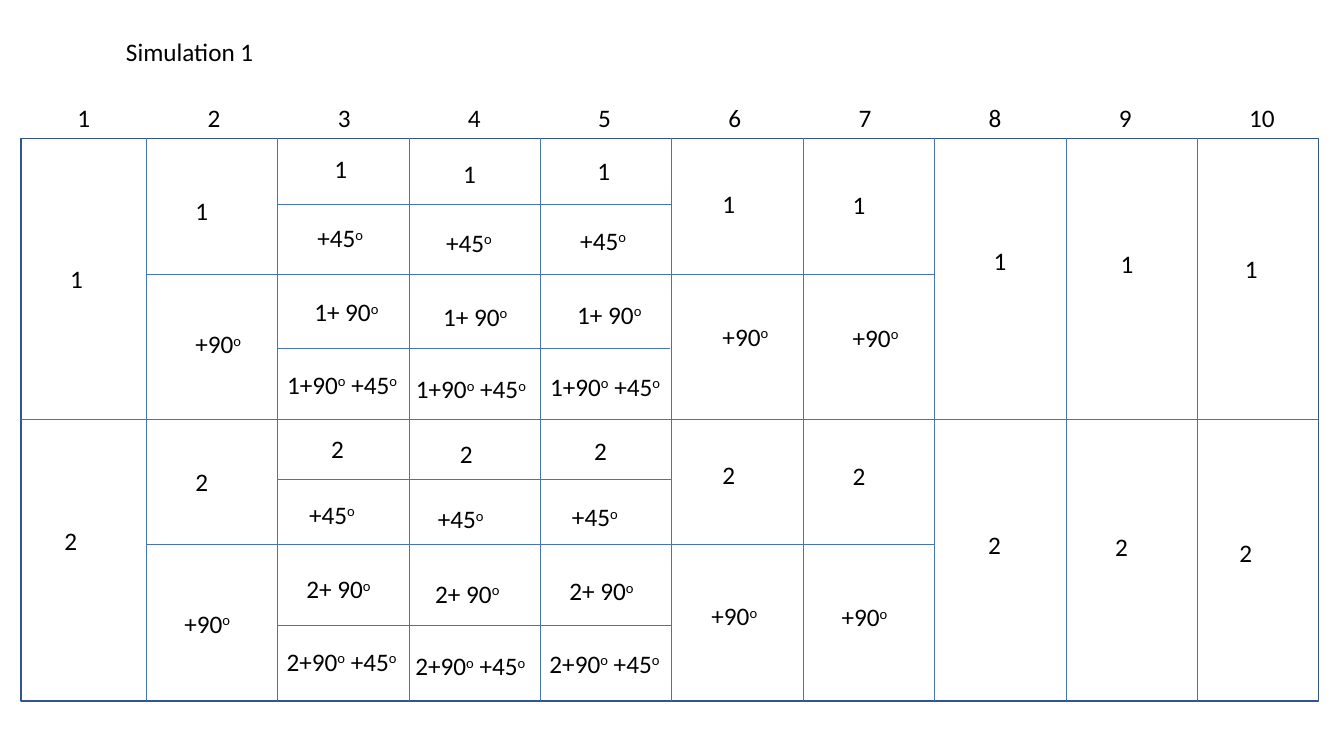
from lxml.etree import SubElement
from pptx import Presentation
from pptx.dml.color import RGBColor
from pptx.enum.shapes import MSO_CONNECTOR, MSO_SHAPE
from pptx.enum.text import MSO_ANCHOR, MSO_AUTO_SIZE, PP_ALIGN
from pptx.oxml.ns import qn
from pptx.util import Pt


def color(hex_code):
    return RGBColor.from_string(hex_code)


class SlideBuilder:
    FONT, SIZE, INK = "Calibri", 18, "000000"
    FRAME, RULE = "325491", "4472C4"
    HEIGHT = 29
    # Box width for each length of visible text
    WIDTHS = {1: 23.8, 2: 33.1, 4: 52.6, 6: 66.2, 10: 100.1}

    def __init__(self, slide):
        self.slide = slide

    def fill_text(self, box, text):
        """Fill a box; parts between ^ marks are superscript."""
        frame = box.text_frame
        frame.word_wrap = False
        frame.auto_size = MSO_AUTO_SIZE.SHAPE_TO_FIT_TEXT
        frame.vertical_anchor = MSO_ANCHOR.TOP
        paragraph = frame.paragraphs[0]
        paragraph.alignment = PP_ALIGN.LEFT
        paragraph.line_spacing = 1.0
        paragraph.space_before = Pt(0)
        for index, part in enumerate(text.split("^")):
            if not part:
                continue
            run = paragraph.add_run()
            run.text = part
            run.font.name = self.FONT
            run.font.size = Pt(self.SIZE)
            run.font.color.rgb = color(self.INK)
            if index % 2:
                run._r.get_or_add_rPr().set("baseline", "30000")

    def title(self, text, x, y, width):
        heading = self.slide.shapes.title
        heading.left, heading.top = Pt(x), Pt(y)
        heading.width, heading.height = Pt(width), Pt(self.HEIGHT)
        self.fill_text(heading, text)

    def label(self, text, x, y):
        width = self.WIDTHS[len(text.replace("^", "").strip())]
        box = self.slide.shapes.add_textbox(Pt(x), Pt(y), Pt(width), Pt(self.HEIGHT))
        self.fill_text(box, text)

    def frame(self, x1, y1, x2, y2):
        border = self.slide.shapes.add_shape(
            MSO_SHAPE.RECTANGLE, Pt(x1), Pt(y1), Pt(x2 - x1), Pt(y2 - y1))
        border.shadow.inherit = False
        border.fill.background()
        border.line.color.rgb = color(self.FRAME)
        border.line.width = Pt(1)

    def rule(self, x1, y1, x2, y2):
        line = self.slide.shapes.add_connector(
            MSO_CONNECTOR.STRAIGHT, Pt(x1), Pt(y1), Pt(x2), Pt(y2))
        line.line.color.rgb = color(self.RULE)
        line.line.width = Pt(0.5)
        SubElement(line._element.spPr, qn("a:effectLst"))


presentation = Presentation()
presentation.slide_width, presentation.slide_height = Pt(960), Pt(540)
builder = SlideBuilder(presentation.slides.add_slide(presentation.slide_layouts[5]))
builder.title("Simulation 1", 82.8, 22.3, 106.6)

# Grid: outer frame, column dividers, then row dividers
LEFT, TOP, RIGHT, BOTTOM = 15.1, 98.8, 941.8, 500.8
dividers = [104.4 + 93.87 * i for i in range(9)]
builder.frame(LEFT, TOP, RIGHT, BOTTOM)
for x in dividers:
    builder.rule(x, TOP, x, BOTTOM)
row_dividers = [
    (LEFT, RIGHT, [299.5]),
    (dividers[0], dividers[6], [195.8, 388.8]),
    (dividers[1], dividers[4], [146.2, 342.7, 446.4]),
    (dividers[1], 478.8, [249.1]),
]
for start, end, heights in row_dividers:
    for y in heights:
        builder.rule(start, y, end, y)

# Column numbers
for i in range(10):
    builder.label(str(i + 1), 48.2 + 93 * i, 69.8)

# Columns split in two: 1, 8, 9, 10
for x, y, drop in [(43, 184.3, 187.2), (702.7, 171.4, 203),
                   (793.4, 173.5, 202.5), (882.2, 177.1, 203)]:
    builder.label("1", x, y)
    builder.label("2", x - 4, y + drop)

# Columns split in four: 2, 6, 7
quarters = [("1", 132.5, 136.1), ("+90^o ^", 132.5, 231),
            ("2", 132.5, 329.8), ("+90^o ^", 124.6, 430.6)]
# Columns split in eight: 3, 4, 5
eighths = [("1", 231.8, 105.9), ("+45^o ^", 219.6, 155.4),
           ("1+ 90^o ^", 217.4, 208.2), ("1+90^o^ +45^o ^", 198, 260),
           ("2", 229.5, 306), ("+45^o ^", 213.7, 352.9),
           ("2+ 90^o ^", 211.8, 406), ("2+90^o^ +45^o ^", 197.6, 457.8)]
for cells, shifts in [(quarters, [(0, 0), (376.5, -5.2), (469.5, -4.5)]),
                      (eighths, [(0, 0), (92, 3.3), (187.8, 1.7)])]:
    for dx, dy in shifts:
        for text, x, y in cells:
            builder.label(text, x + dx, y + dy)

presentation.save("out.pptx")
